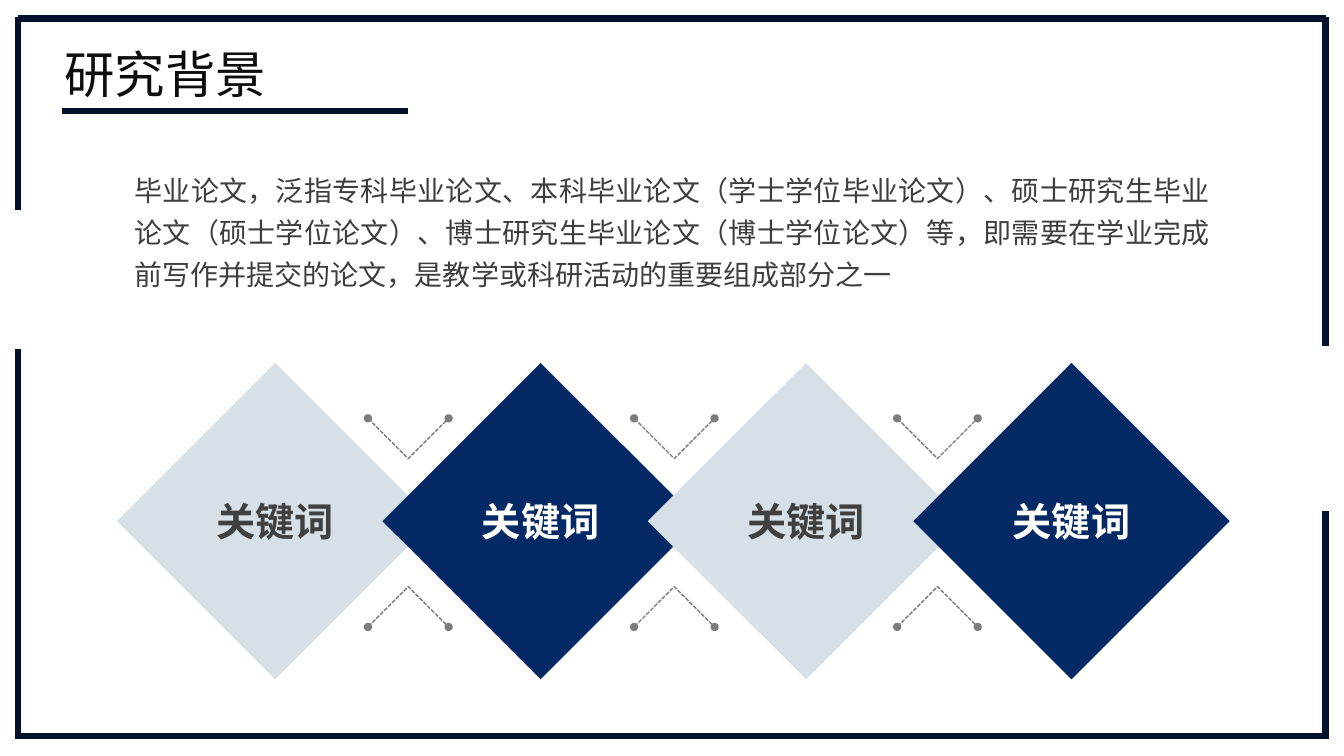
import pptx
import pptx.util
import pptx.dml.color
import pptx.enum.dml
import pptx.enum.shapes
import pptx.enum.text
import pptx.oxml.ns
import lxml.etree

THEME = {
    "font": "Noto Sans CJK SC",
    "frame": "02122D", "pale": "D6E0E6", "navy": "042964", "dash": "7C7C7C",
    "title": "0D0D0D", "body": "3E3E3E", "dark": "404040", "white": "FFFFFF",
    "title_size": 36, "body_size": 20, "label_size": 28, "leading": 30,
    "frame_width": 4.5, "dash_width": 1,
}
qn = pptx.oxml.ns.qn
Pt = pptx.util.Pt
RGB = pptx.dml.color.RGBColor.from_string
ALIGN = pptx.enum.text.PP_ALIGN

prs = pptx.Presentation()
prs.slide_width = pptx.util.Inches(13.33)
prs.slide_height = pptx.util.Inches(7.5)
s = prs.slides.add_slide(prs.slide_layouts[6])
COL = prs.slide_width / 80
ROW = prs.slide_height / 45


def add_line(x1, y1, x2, y2):
    sp = s.shapes.add_connector(
        pptx.enum.shapes.MSO_CONNECTOR.STRAIGHT,
        round(x1 * COL), round(y1 * ROW), round(x2 * COL), round(y2 * ROW))
    sp.line.color.rgb = RGB(THEME["frame"])
    sp.line.width = Pt(THEME["frame_width"])
    lxml.etree.SubElement(sp._element.spPr, qn("a:effectLst"))


def add_text(text, x, y, w, h, size, color, align, bold=False):
    sp = s.shapes.add_textbox(
        round(x * COL), round(y * ROW), round(w * COL), round(h * ROW))
    tf = sp.text_frame
    tf.word_wrap = True
    tf.auto_size = pptx.enum.text.MSO_AUTO_SIZE.SHAPE_TO_FIT_TEXT
    tf.margin_left = tf.margin_right = tf.margin_top = tf.margin_bottom = 0
    p = tf.paragraphs[0]
    p.alignment = align
    r = p.add_run()
    r.text = text
    r.font.size = Pt(THEME[size])
    r.font.bold = bold
    r.font.color.rgb = RGB(THEME[color])
    r.font.name = THEME["font"]
    ea = lxml.etree.SubElement(r._r.get_or_add_rPr(), qn("a:ea"))
    ea.set("typeface", THEME["font"])
    return tf


left, right, top, bottom = 1.08, 78.9, 1.1, 43.8
for ends in (
    (left, top, right, top),
    (left, 1, left, 12.5),
    (right, 1, right, 20.6),
    (right, bottom, left, bottom),
    (right, 44, right, 30.4),
    (left, 44, left, 20.8),
):
    add_line(*ends)

tf = add_text(
    "毕业论文，泛指专科毕业论文、本科毕业论文（学士学位毕业论文）、硕士研究生毕业论文"
    "（硕士学位论文）、博士研究生毕业论文（博士学位论文）等，即需要在学业完成前写作并"
    "提交的论文，是教学或科研活动的重要组成部分之一",
    8, 9.84, 64, 7.32, "body_size", "body", ALIGN.JUSTIFY)
tf.paragraphs[0].line_spacing = Pt(THEME["leading"])

side, middle = 13.32, 31.02
centers = [16.38 + 15.8 * i for i in range(4)]
styles = [("pale", "dark"), ("navy", "white")] * 2
for cx, (fill, ink) in zip(centers, styles):
    sp = s.shapes.add_shape(
        pptx.enum.shapes.MSO_SHAPE.RECTANGLE,
        round((cx - side / 2) * COL), round((middle - side / 2) * ROW),
        round(side * COL), round(side * ROW))
    sp.rotation = 45
    sp.shadow.inherit = False
    sp.fill.solid()
    sp.fill.fore_color.rgb = RGB(THEME[fill])
    sp.line.fill.background()

label_w, label_h = 9.24, 2.82
for cx, (fill, ink) in zip(centers, styles):
    add_text("关键词", cx - label_w / 2, middle - label_h / 2, label_w, label_h,
             "label_size", ink, ALIGN.CENTER, True)

arm = 2.4
for tip, end in ((27.3, 27.3 - arm), (34.92, 34.92 + arm)):
    for cx in (24.3, 40.14, 55.8):
        fb = s.shapes.build_freeform(round((cx + arm) * COL), round(end * ROW))
        fb.add_line_segments(
            [(round(cx * COL), round(tip * ROW)),
             (round((cx - arm) * COL), round(end * ROW))], close=False)
        sp = fb.convert_to_shape()
        sp.shadow.inherit = False
        sp.fill.background()
        sp.line.color.rgb = RGB(THEME["dash"])
        sp.line.width = Pt(THEME["dash_width"])
        sp.line.dash_style = pptx.enum.dml.MSO_LINE.SQUARE_DOT
        ln = sp._element.spPr.find(qn("a:ln"))
        for tag in ("a:headEnd", "a:tailEnd"):
            lxml.etree.SubElement(ln, qn(tag)).set("type", "oval")

tf = add_text("研究背景", 3.84, 2.52, 18.18, 3.72, "title_size", "title", ALIGN.JUSTIFY)
tf.vertical_anchor = pptx.enum.text.MSO_ANCHOR.MIDDLE
add_line(3.72, 6.6, 24.3, 6.6)

prs.save("out.pptx")
